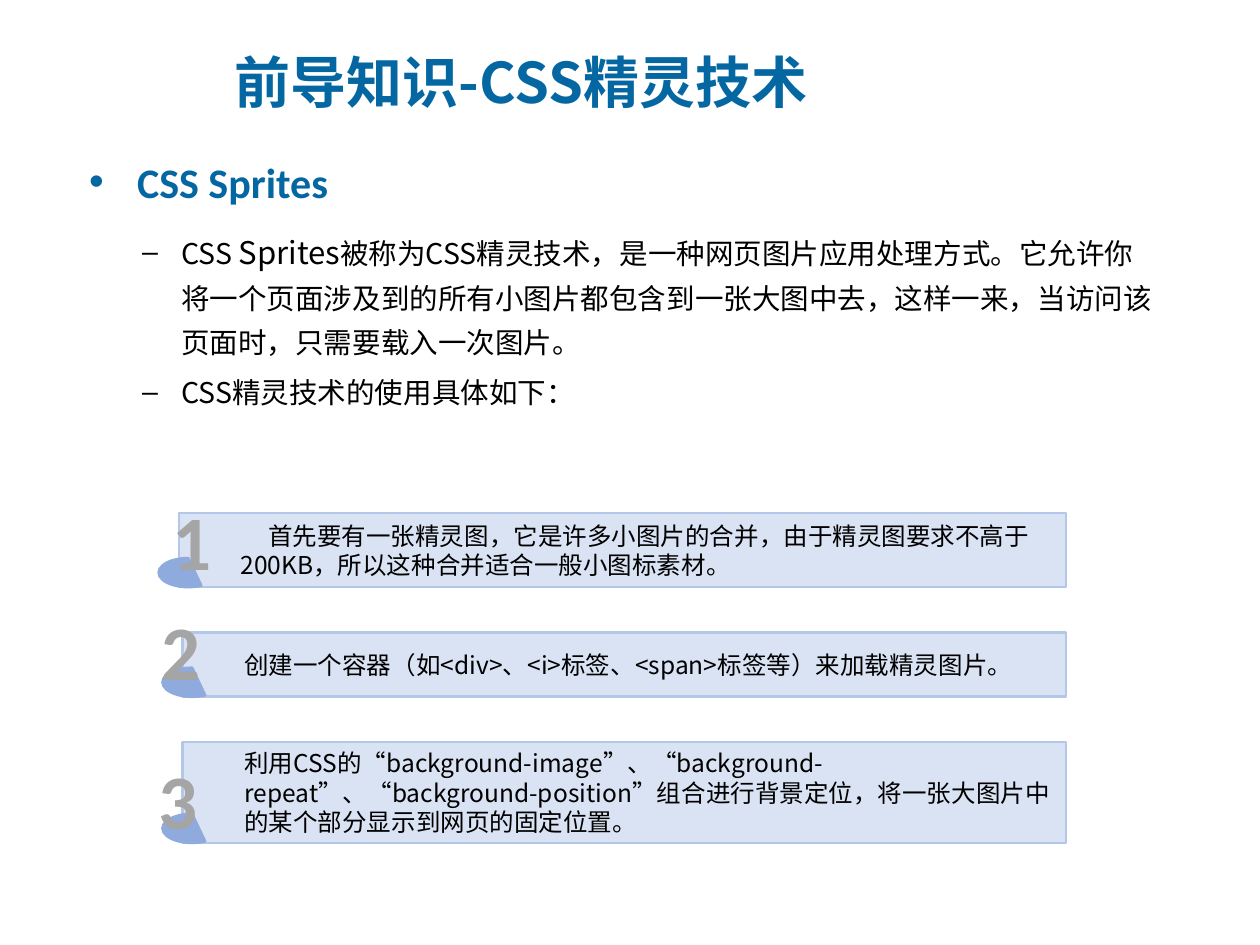
from pptx import Presentation
from pptx.dml.color import RGBColor
from pptx.enum.shapes import MSO_SHAPE
from pptx.enum.text import MSO_ANCHOR, PP_ALIGN
from pptx.oxml.ns import qn
from pptx.util import Inches, Pt
from lxml import etree

RECTANGLE, CHORD = MSO_SHAPE.RECTANGLE, MSO_SHAPE.CHORD
MIDDLE, CENTER = MSO_ANCHOR.MIDDLE, PP_ALIGN.CENTER
COLORS = {"heading": "0567A2", "text": "000000", "panel": "DAE3F3",
          "border": "B4C7E7", "chord": "8FAADC", "number": "A5A5A5"}
HAN, LATIN = "Noto Sans CJK SC", "Calibri"


def format_text(paragraph, size, color, face=HAN, bold=False):
    for run in paragraph.runs:
        run.font.size = Pt(size)
        run.font.bold = bold
        run.font.name = face
        run.font.color.rgb = RGBColor.from_string(COLORS[color])
        etree.SubElement(run._r.get_or_add_rPr(), qn("a:ea")).set("typeface", face)


def set_indent(paragraph, left, first, bullet=None):
    """Indent in inches; first is relative to left."""
    properties = paragraph._p.get_or_add_pPr()
    properties.set("marL", str(Inches(left)))
    properties.set("indent", str(Inches(first)))
    if bullet:
        etree.SubElement(properties, qn("a:buFont")).set("typeface", "Arial")
        etree.SubElement(properties, qn("a:buChar")).set("char", bullet)


prs = Presentation()
prs.slide_width, prs.slide_height = Inches(10), Inches(7.5)
slide = prs.slides.add_slide(prs.slide_layouts[6])
shapes = slide.shapes

# Heading and topic
title = shapes.add_textbox(Inches(1.76), Inches(0.22), Inches(8.24), Inches(0.84)).text_frame
title.word_wrap = True
title.vertical_anchor = MIDDLE
title.text = "前导知识-CSS精灵技术"
format_text(title.paragraphs[0], 32, "heading", bold=True)

topic = shapes.add_textbox(Inches(0.61), Inches(0.99), Inches(2.11), Inches(0.64)).text_frame
topic.text = "CSS Sprites"
set_indent(topic.paragraphs[0], 0.38, -0.38, "•")
topic.paragraphs[0].line_spacing = 1.5
format_text(topic.paragraphs[0], 24, "heading", LATIN, True)

# Explanation
explanation = shapes.add_textbox(Inches(0.53), Inches(1.71), Inches(8.72), Inches(1.58)).text_frame
explanation.word_wrap = True
points = [
    ["CSS ", "Sprites", "被称为CSS精灵技术，是一种网页图片应用处理方式。它允许你将一个页面涉及到的"
     "所有小图片都包含到一张大图中去，这样一来，当访问该页面时，只需要载入一次图片。"],
    ["CSS精灵技术的使用具体如下："],
]
for i, pieces in enumerate(points):
    point = explanation.add_paragraph() if i else explanation.paragraphs[0]
    for piece in pieces:
        point.add_run().text = piece
    set_indent(point, 0.81, -0.31, "–")
    point.line_spacing = 1.3
    if i:
        point.space_before = Pt(3)
    format_text(point, 16.3, "text")
explanation.paragraphs[0].runs[1].font.size = Pt(17.8)

# Numbered steps: panel left, top, height, first-line indent, number left and top, text
steps = [
    (1.42, 4.07, 0.59, 0.22, 1.25, 3.87,
     "首先要有一张精灵图，它是许多小图片的合并，由于精灵图要求不高于200KB，所以这种合并适合一般小图标素材。"),
    (1.45, 5.02, 0.51, 0, 1.16, 4.74,
     "创建一个容器（如<div>、<i>标签、<span>标签等）来加载精灵图片。"),
    (1.45, 5.89, 0.8, 0, 1.14, 5.92,
     "利用CSS的“background-image”、“background- repeat”、“background-position”"
     "组合进行背景定位，将一张大图片中的某个部分显示到网页的固定位置。"),
]
panel_right, chord_width, chord_height = 8.46, 0.47, 0.23
for number, (left, top, height, first, number_left, number_top, text) in enumerate(steps, 1):
    bottom = top + height
    panel = shapes.add_shape(RECTANGLE, Inches(left), Inches(top),
                             Inches(panel_right - left), Inches(height))
    chord = shapes.add_shape(CHORD, Inches(left - 0.16), Inches(bottom - chord_height),
                             Inches(chord_width), Inches(chord_height))
    for shape, fill, line in ((panel, "panel", "border"), (chord, "chord", "chord")):
        shape.shadow.inherit = False
        shape.fill.solid()
        shape.fill.fore_color.rgb = RGBColor.from_string(COLORS[fill])
        shape.line.color.rgb = RGBColor.from_string(COLORS[line])
        shape.line.width = Pt(1.5)

    panel.text_frame.word_wrap = True
    panel.text_frame.vertical_anchor = MIDDLE
    panel.text_frame.text = text
    step = panel.text_frame.paragraphs[0]
    step.alignment = PP_ALIGN.LEFT
    set_indent(step, 0.39, first)
    format_text(step, 14, "text")

    label = shapes.add_textbox(Inches(number_left), Inches(number_top),
                               Inches(0.55), Inches(0.84)).text_frame
    label.text = str(number)
    label.paragraphs[0].alignment = CENTER
    format_text(label.paragraphs[0], 44, "number", LATIN, True)

prs.save("out.pptx")
